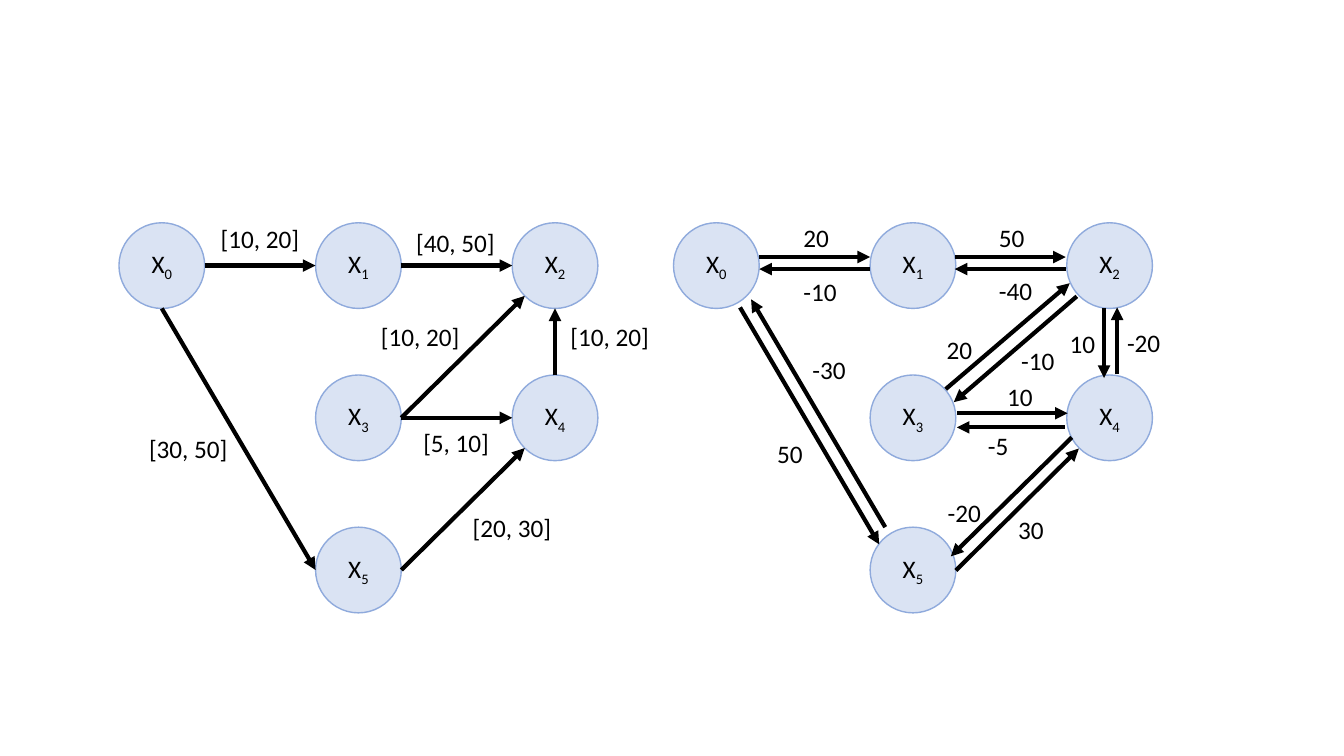
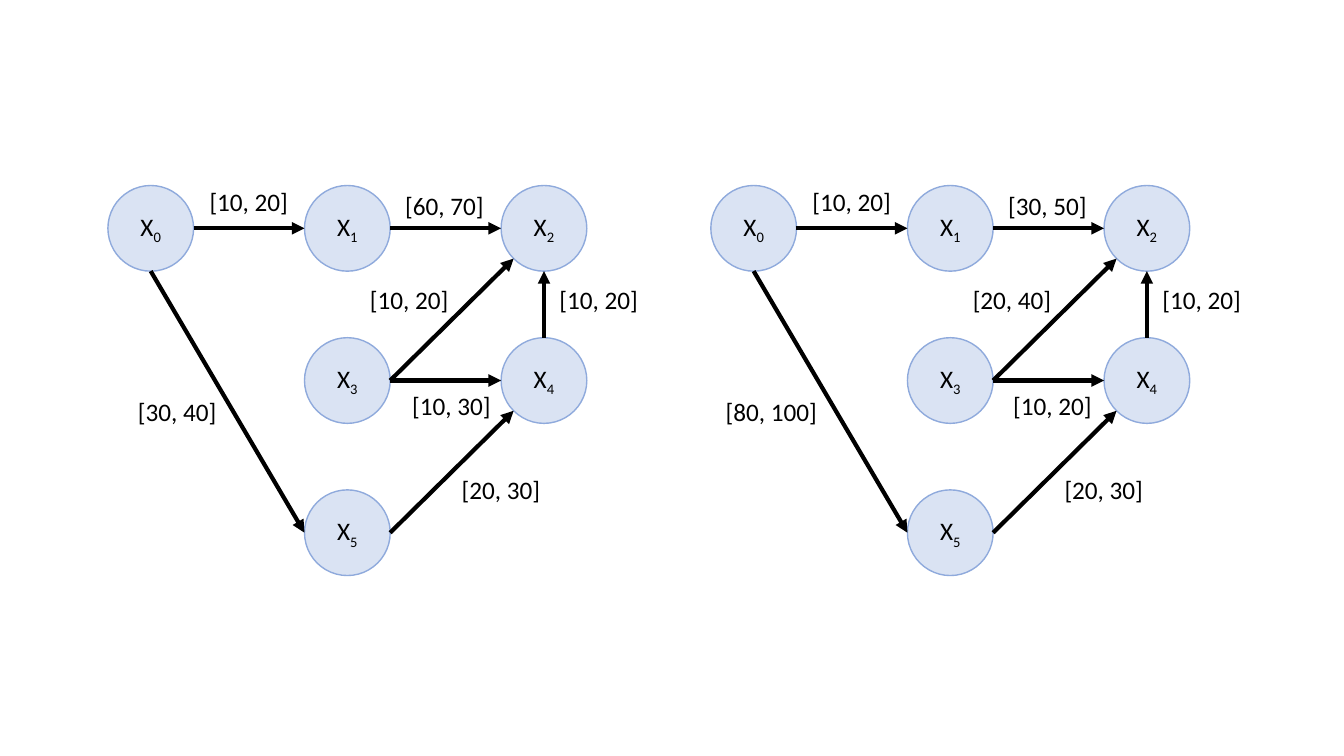
from math import cos, radians, sin

from lxml.etree import SubElement
from pptx import Presentation
from pptx.dml.color import RGBColor
from pptx.enum.shapes import MSO_CONNECTOR as Connector, MSO_SHAPE as Shape
from pptx.enum.text import MSO_ANCHOR as Anchor, MSO_AUTO_SIZE as AutoSize, PP_ALIGN as Align
from pptx.oxml.ns import qn
from pptx.util import Inches, Pt

# Shared look
NODE_FILL, NODE_LINE, INK = "DAE3F3", "8FAADC", "000000"
DIAMETER, COLUMN_STEP, ROW_STEP = 0.85, 1.95, 1.51
LABEL_HEIGHT, LABEL_PADDING = 0.4, 0.2
NARROW = {"[": 0.08, "]": 0.08, ",": 0.06, " ": 0.06, "-": 0.08}
DIGIT_WIDTH = 0.13
FONT = {"name": "Calibri", "size": Pt(18)}

# Node number -> column, row
NODES = {0: (0, 0), 1: (1, 0), 2: (2, 0), 3: (1, 1), 4: (2, 1), 5: (1, 2)}

# Connection sites of an ellipse, counter-clockwise from the top
TOP, LEFT, BOTTOM_LEFT, BOTTOM, RIGHT = 0, 2, 3, 4, 6

# Interval edges: (from node, site), (to node, site), label offset from the network origin
INTERVAL_EDGES = [
    ((0, RIGHT), (1, LEFT), (0.91, -0.04)),
    ((1, RIGHT), (2, LEFT), (2.85, 0)),
    ((0, BOTTOM), (5, LEFT), (0.2, 2.04)),
    ((3, RIGHT), (2, BOTTOM_LEFT), (2.5, 0.93)),
    ((5, RIGHT), (4, BOTTOM_LEFT), (3.41, 2.82)),
    ((3, RIGHT), (4, LEFT), (2.92, 1.98)),
    ((4, TOP), (2, BOTTOM), (4.38, 0.93)),
]

# Distance edges: label, start, end, label position, all from the network origin
DISTANCE_EDGES = [
    ("20", (0.85, 0.34), (1.95, 0.34), (1.19, -0.05)),
    ("-10", (1.95, 0.46), (0.85, 0.46), (1.19, 0.48)),
    ("50", (2.79, 0.34), (3.89, 0.34), (3.13, -0.05)),
    ("-40", (3.89, 0.46), (2.79, 0.46), (3.13, 0.47)),
    ("50", (0.66, 0.84), (2.04, 3.19), (0.93, 2.09)),
    ("-30", (2.1, 3.02), (0.77, 0.76), (1.28, 1.26)),
    ("20", (2.7, 1.65), (3.93, 0.6), (2.61, 1.06)),
    ("-10", (4, 0.73), (2.78, 1.78), (3.35, 1.17)),
    ("10", (4.27, 0.85), (4.27, 1.54), (3.83, 1)),
    ("-20", (4.4, 1.5), (4.4, 0.84), (4.4, 0.99)),
    ("10", (2.81, 1.89), (3.91, 1.89), (3.21, 1.52)),
    ("-5", (3.88, 2.03), (2.81, 2.03), (3.02, 2.01)),
    ("30", (2.8, 3.45), (4.02, 2.24), (3.32, 2.84)),
    ("-20", (3.95, 2.13), (2.75, 3.31), (2.62, 2.67)),
]

# One list of networks per slide; intervals follow the order of INTERVAL_EDGES
SLIDES = [
    [
        {"origin": (1.18, 2.21),
         "intervals": ["[10, 20]", "[40, 50]", "[30, 50]", "[10, 20]",
                       "[20, 30]", "[5, 10]", "[10, 20]"]},
        {"origin": (6.68, 2.21), "distances": DISTANCE_EDGES},
    ],
    [
        {"origin": (1.07, 1.84),
         "intervals": ["[10, 20]", "[60, 70]", "[30, 40]", "[10, 20]",
                       "[20, 30]", "[10, 30]", "[10, 20]"]},
        {"origin": (7.05, 1.84),
         "intervals": ["[10, 20]", "[30, 50]", "[80, 100]", "[20, 40]",
                       "[20, 30]", "[10, 20]", "[10, 20]"],
         "label_shifts": {2: -0.15, 5: -0.02}},
    ],
]


def color(value):
    return RGBColor.from_string(value)


def add_run(paragraph, text):
    run = paragraph.add_run()
    run.text = text
    for name, value in FONT.items():
        setattr(run.font, name, value)
    run.font.color.rgb = color(INK)
    return run


def move(origin, offset):
    return origin[0] + offset[0], origin[1] + offset[1]


def add_node(group, origin, number):
    column, row = NODES[number]
    left, top = move(origin, (column * COLUMN_STEP, row * ROW_STEP))
    node = group.shapes.add_shape(Shape.OVAL, Inches(left), Inches(top),
                                  Inches(DIAMETER), Inches(DIAMETER))
    node.shadow.inherit = False
    node.fill.solid()
    node.fill.fore_color.rgb = color(NODE_FILL)
    node.line.color.rgb = color(NODE_LINE)
    node.line.width = Pt(1)
    node.text_frame.vertical_anchor = Anchor.MIDDLE
    paragraph = node.text_frame.paragraphs[0]
    paragraph.alignment = Align.CENTER
    add_run(paragraph, "X")
    add_run(paragraph, str(number)).font._element.set("baseline", "-25000")
    return node


def site_point(origin, number, site):
    column, row = NODES[number]
    angle, radius = radians(90 + 45 * site), DIAMETER / 2
    return move(origin, (column * COLUMN_STEP + radius + radius * cos(angle),
                         row * ROW_STEP + radius - radius * sin(angle)))


def add_arrow(group, start, end):
    arrow = group.shapes.add_connector(Connector.STRAIGHT,
                                       *(Inches(value) for value in (*start, *end)))
    arrow.line.color.rgb = color(INK)
    arrow.line.width = Pt(3)
    SubElement(arrow.line._get_or_add_ln(), qn("a:tailEnd"), type="triangle")
    SubElement(arrow._element.spPr, qn("a:effectLst"))
    return arrow


def join(arrow, tag, node, site):
    # begin_connect knows four sites only; an ellipse has eight
    properties = arrow._element.find(qn("p:nvCxnSpPr")).find(qn("p:cNvCxnSpPr"))
    SubElement(properties, qn(tag), id=str(node.shape_id), idx=str(site))


def add_label(group, text, position):
    width = LABEL_PADDING + sum(NARROW.get(letter, DIGIT_WIDTH) for letter in text)
    box = group.shapes.add_textbox(*(Inches(value) for value in (*position, width, LABEL_HEIGHT)))
    box.text_frame.word_wrap = False
    box.text_frame.auto_size = AutoSize.SHAPE_TO_FIT_TEXT
    add_run(box.text_frame.paragraphs[0], text)


def add_network(slide, origin, intervals=(), distances=(), label_shifts=None):
    group = slide.shapes.add_group_shape()
    nodes = {number: add_node(group, origin, number) for number in NODES}
    shifts = label_shifts or {}

    # Arrows joined to the nodes
    for index, (text, edge) in enumerate(zip(intervals, INTERVAL_EDGES)):
        begin, end, offset = edge
        arrow = add_arrow(group, site_point(origin, *begin), site_point(origin, *end))
        for tag, (number, site) in (("a:stCxn", begin), ("a:endCxn", end)):
            join(arrow, tag, nodes[number], site)
        add_label(group, text, move(origin, (offset[0] + shifts.get(index, 0), offset[1])))

    # Free pairs of opposite arrows
    for text, start, end, offset in distances:
        add_arrow(group, move(origin, start), move(origin, end))
        add_label(group, text, move(origin, offset))


def main():
    presentation = Presentation()
    presentation.slide_width, presentation.slide_height = Inches(13.33), Inches(7.5)
    blank_layout = presentation.slide_layouts[6]
    for networks in SLIDES:
        slide = presentation.slides.add_slide(blank_layout)
        for network in networks:
            add_network(slide, **network)
    presentation.save("out.pptx")


if __name__ == "__main__":
    main()
